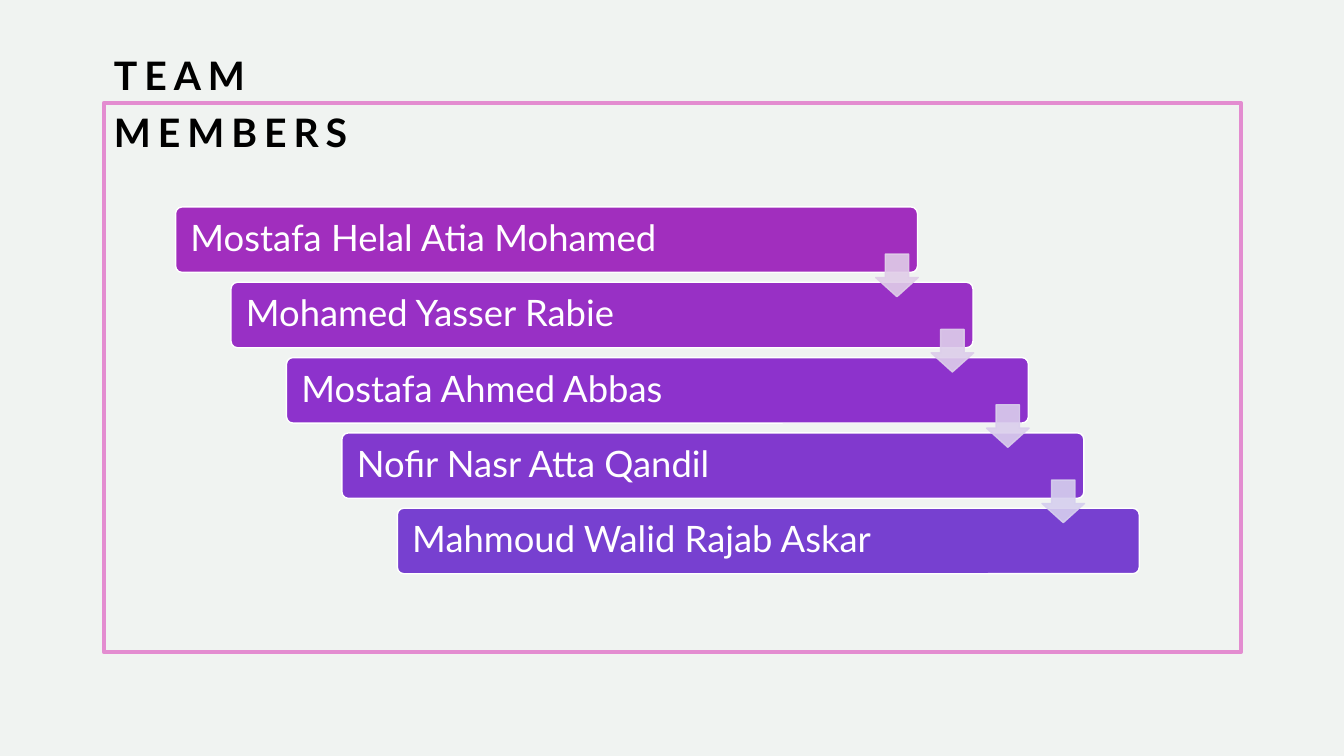
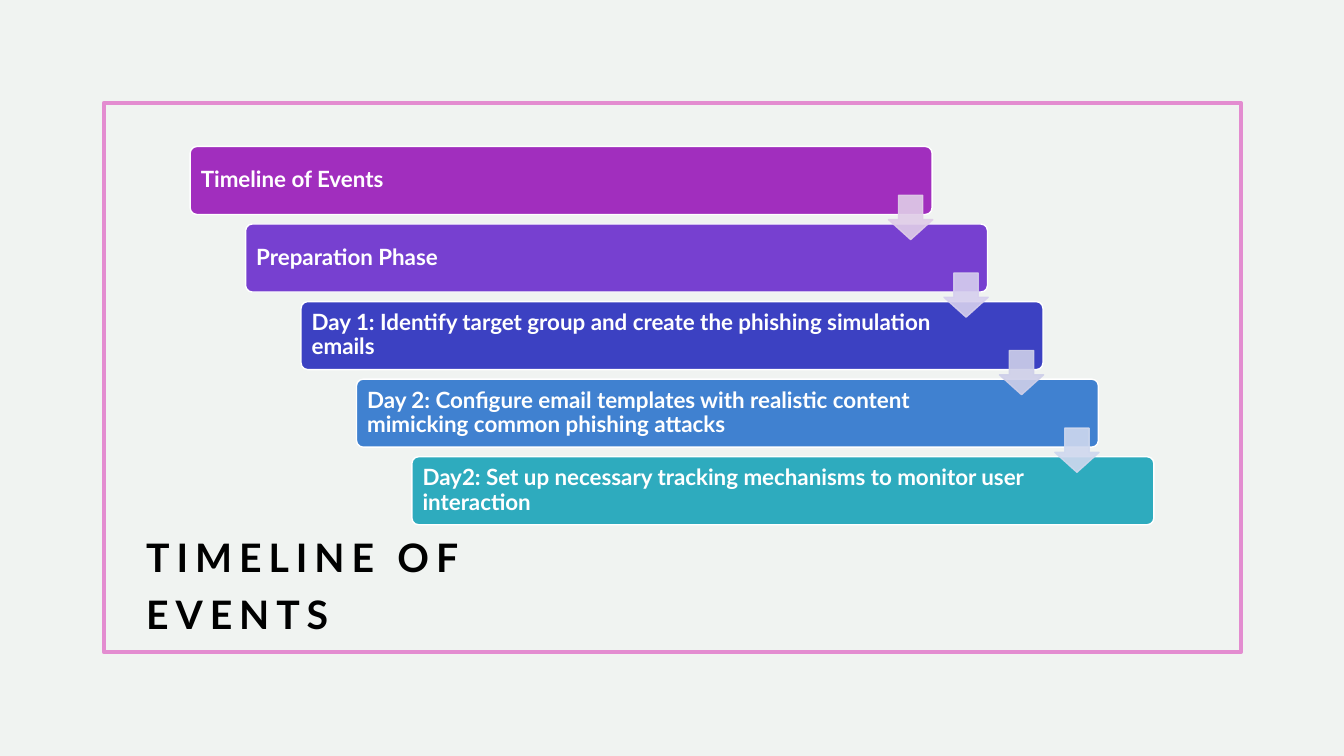
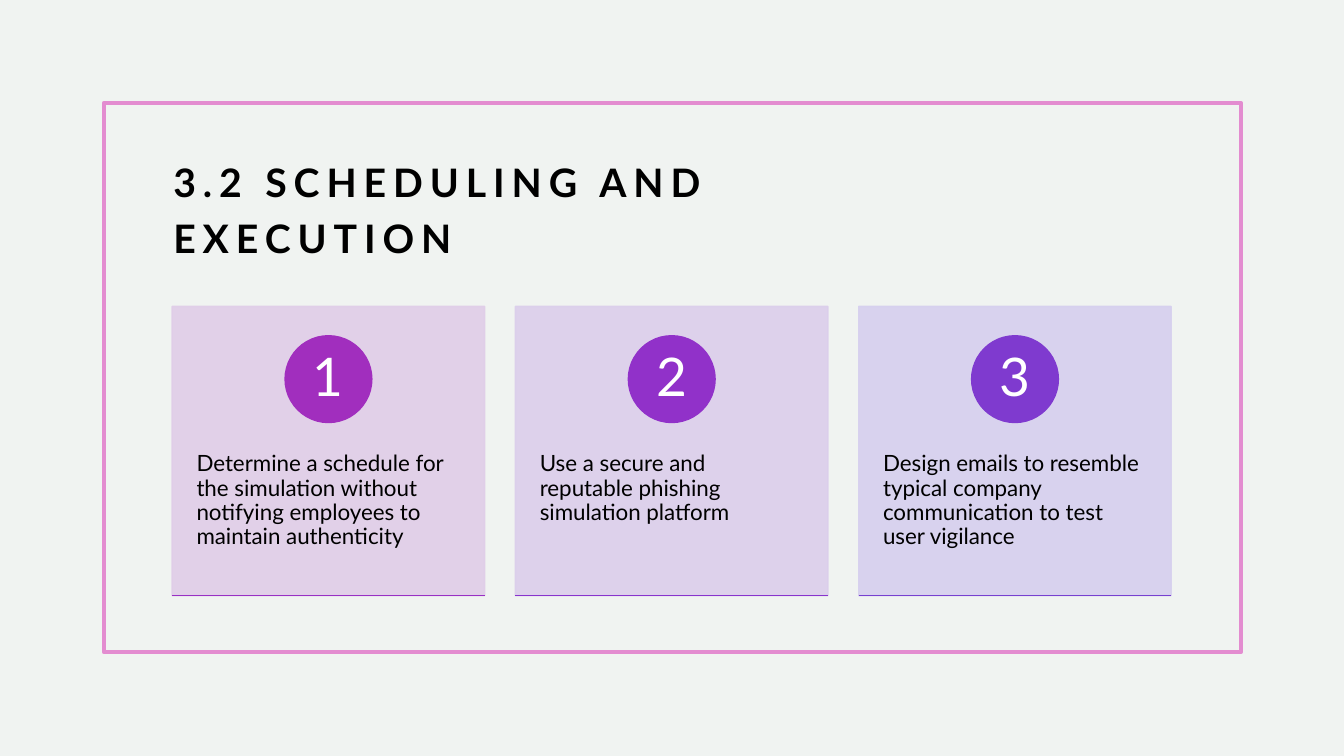
from lxml.etree import SubElement
from pptx import Presentation
from pptx.dml.color import RGBColor
from pptx.enum.shapes import MSO_CONNECTOR, MSO_SHAPE as SHAPE
from pptx.enum.text import MSO_ANCHOR as ANCHOR, MSO_AUTO_SIZE, PP_ALIGN as ALIGN
from pptx.oxml.ns import qn
from pptx.util import Pt

PAPER = RGBColor(0xF0, 0xF3, 0xF1)
PINK = RGBColor(0xE3, 0x8C, 0xD0)
BLACK = RGBColor(0x00, 0x00, 0x00)
WHITE = RGBColor(0xFF, 0xFF, 0xFF)

MAGENTA = RGBColor(0xA1, 0x2E, 0xBE)
ORCHID = RGBColor(0x98, 0x30, 0xC5)
PURPLE = RGBColor(0x8D, 0x32, 0xCC)
VIOLET = RGBColor(0x81, 0x39, 0xCE)
IRIS = RGBColor(0x77, 0x40, 0xD0)
INDIGO = RGBColor(0x3C, 0x41, 0xC2)
BLUE = RGBColor(0x40, 0x81, 0xD0)
TEAL = RGBColor(0x2E, 0xAB, 0xBE)

PALE_MAGENTA = RGBColor(0xE0, 0xCD, 0xE8)
PALE_ORCHID = RGBColor(0xDD, 0xCE, 0xEA)
PALE_PURPLE = RGBColor(0xDA, 0xCE, 0xEC)
PALE_PLUM = RGBColor(0xDB, 0xCE, 0xEB)
PALE_IRIS = RGBColor(0xD6, 0xCF, 0xEE)
PALE_INDIGO = RGBColor(0xCE, 0xCF, 0xE9)
PALE_BLUE = RGBColor(0xCF, 0xD8, 0xEE)

DISC_PURPLE = RGBColor(0x91, 0x31, 0xC9)
DISC_VIOLET = RGBColor(0x7F, 0x3A, 0xCF)
RULE_ORCHID = RGBColor(0x99, 0x30, 0xC4)
RULE_VIOLET = RGBColor(0x88, 0x34, 0xCD)


def apply(target, values):
    for name, value in values.items():
        setattr(target, name, value)


class Deck:
    FONT = "Lato"
    FRAME = (74.2, 73.5, 812.1, 392.4)
    TITLE = {"size": 28, "color": BLACK, "bold": True, "line_spacing": 1.2}
    TITLE_TRACKING = "500"
    TINT_ALPHA = "90000"

    def __init__(self):
        self.prs = Presentation()
        apply(self.prs, {"slide_width": Pt(960), "slide_height": Pt(540)})
        background = self.prs.slide_master.background.fill
        background.solid()
        background.fore_color.rgb = PAPER
        self.slide = None

    def new_slide(self, title, box, anchor):
        self.slide = self.prs.slides.add_slide(self.prs.slide_layouts[5])
        self.shape(SHAPE.RECTANGLE, self.FRAME, None, PINK, 3)
        heading = self.slide.shapes.title
        apply(heading, dict(zip(("left", "top", "width", "height"), map(Pt, box))))
        run = self.label(heading, title, anchor=anchor, insets=(7.2, 3.6, 7.2, 3.6),
                         **self.TITLE)
        run.font._element.set("spc", self.TITLE_TRACKING)

    def shape(self, kind, box, fill, line, line_width=1, adjustments=(), tinted=False):
        """Add a flat shape; a tinted one is slightly see-through."""
        shape = self.slide.shapes.add_shape(kind, *map(Pt, box))
        shape.shadow.inherit = False
        for index, value in enumerate(adjustments):
            shape.adjustments[index] = value
        if fill is None:
            shape.fill.background()
        else:
            shape.fill.solid()
            shape.fill.fore_color.rgb = fill
        shape.line.color.rgb = line
        shape.line.width = Pt(line_width)
        if tinted:
            for color in shape._element.spPr.iter(qn("a:srgbClr")):
                SubElement(color, qn("a:alpha")).set("val", self.TINT_ALPHA)
        return shape

    def label(self, shape, text, size, color, bold=False, anchor=ANCHOR.MIDDLE,
              align=ALIGN.LEFT, insets=(0, 0, 0, 0), line_spacing=0.9):
        """Put formatted text into a shape and return its run."""
        frame = shape.text_frame
        left, top, right, bottom = map(Pt, insets)
        apply(frame, {
            "word_wrap": True, "auto_size": MSO_AUTO_SIZE.NONE, "vertical_anchor": anchor,
            "margin_left": left, "margin_top": top,
            "margin_right": right, "margin_bottom": bottom,
        })
        paragraph = frame.paragraphs[0]
        apply(paragraph, {"alignment": align, "line_spacing": line_spacing})
        run = paragraph.add_run()
        run.text = text
        apply(run.font, {"name": self.FONT, "size": Pt(size), "bold": bold})
        run.font.color.rgb = color
        return run

    def rule(self, left, top, width, color):
        line = self.slide.shapes.add_connector(
            MSO_CONNECTOR.STRAIGHT, Pt(left), Pt(top), Pt(left + width), Pt(top))
        line.line.color.rgb = color
        line.line.width = Pt(1)
        SubElement(line._element.spPr, qn("a:effectLst"))

    def staircase(self, steps, tints, left, top, height, pitch, inset, size, bold=False):
        """Draw bars stepping down to the right, with an arrow from each to the next."""
        width, shift = 530, 39.6
        for i, (text, color) in enumerate(steps):
            bar = self.shape(SHAPE.ROUNDED_RECTANGLE,
                             (left + i * shift, top + i * pitch, width, height),
                             color, WHITE, adjustments=(0.1,))
            self.label(bar, text, size, WHITE, bold, insets=(inset, 0, 78, 0))
        arrow = 0.65 * height
        for i, tint in enumerate(tints):
            self.shape(SHAPE.DOWN_ARROW,
                       (left + i * shift + width + 0.5 - arrow,
                        top + i * pitch + 0.72 * height, arrow, arrow),
                       tint, tint, adjustments=(0.55, 0.45), tinted=True)

    def numbered_cards(self, cards):
        left, top, width, height, pitch, disc = 123, 218.9, 223.2, 206.6, 245.2, 62
        for i, (text, tint, disc_color, rule_color) in enumerate(cards):
            x = left + i * pitch
            card = self.shape(SHAPE.RECTANGLE, (x, top, width, height), tint, tint,
                              tinted=True)
            self.label(card, text, 16, BLACK, anchor=ANCHOR.TOP,
                       insets=(17.4, 104.4, 17.4, 0))
            number = self.shape(SHAPE.OVAL,
                                (x + (width - disc) / 2, top + 20.9, disc, disc),
                                disc_color, disc_color)
            self.label(number, str(i + 1), 38, WHITE, align=ALIGN.CENTER)
            self.rule(x, top + height, width, rule_color)


def main():
    deck = Deck()

    deck.new_slide("TEAM MEMBERS", (74.2, 26.6, 277.2, 56.9), ANCHOR.TOP)
    members = [
        ("Mostafa Helal Atia Mohamed", MAGENTA),
        ("Mohamed Yasser Rabie", ORCHID),
        ("Mostafa Ahmed Abbas", PURPLE),
        ("Nofir Nasr Atta Qandil", VIOLET),
        ("Mahmoud Walid Rajab Askar", IRIS),
    ]
    deck.staircase(members, (PALE_MAGENTA, PALE_ORCHID, PALE_PURPLE, PALE_IRIS),
                   left=125.4, top=147.8, height=46.8, pitch=53.8, inset=9.3, size=26)

    deck.new_slide("TIMELINE OF EVENTS", (97.2, 406, 373, 52.6), ANCHOR.BOTTOM)
    events = [
        ("Timeline of Events", MAGENTA),
        ("Preparation Phase", IRIS),
        ("Day 1: Identify target group and create the phishing simulation emails", INDIGO),
        ("Day 2: Configure email templates with realistic content mimicking common "
         "phishing attacks", BLUE),
        ("Day2: Set up necessary tracking mechanisms to monitor user interaction", TEAL),
    ]
    deck.staircase(events, (PALE_MAGENTA, PALE_IRIS, PALE_INDIGO, PALE_BLUE),
                   left=135.8, top=104.6, height=48.6, pitch=55.4, inset=6.2, size=16,
                   bold=True)

    deck.new_slide("3.2 SCHEDULING AND EXECUTION", (116.6, 102.2, 544.3, 88.6),
                   ANCHOR.MIDDLE)
    deck.numbered_cards([
        ("Determine a schedule for the simulation without notifying employees to "
         "maintain authenticity", PALE_MAGENTA, MAGENTA, RULE_ORCHID),
        ("Use a secure and reputable phishing simulation platform",
         PALE_PLUM, DISC_PURPLE, RULE_VIOLET),
        ("Design emails to resemble typical company communication to test user vigilance",
         PALE_IRIS, DISC_VIOLET, IRIS),
    ])

    deck.prs.save("out.pptx")


if __name__ == "__main__":
    main()
